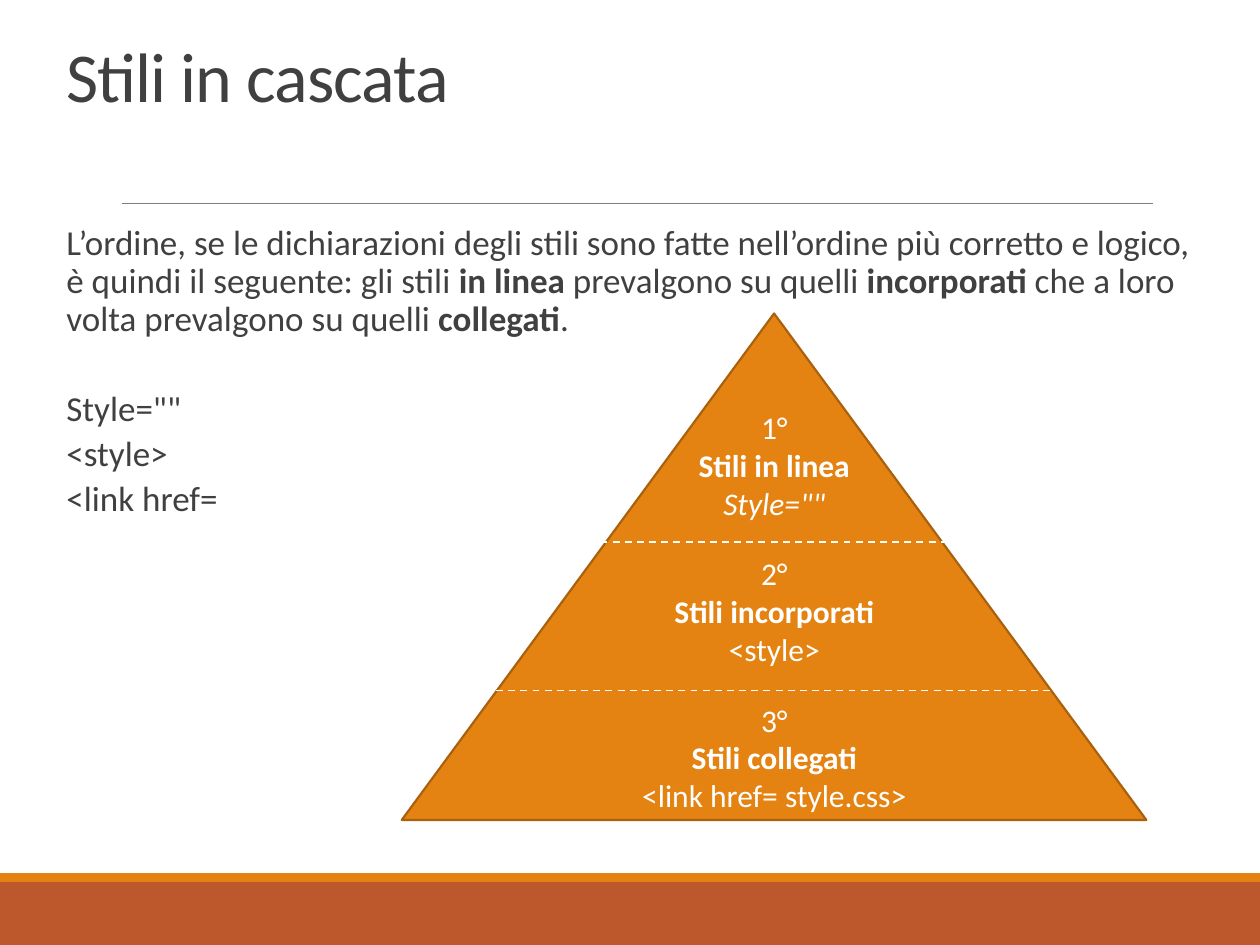
from dataclasses import dataclass

from lxml import etree
from pptx import Presentation
from pptx.dml.color import RGBColor
from pptx.enum.dml import MSO_LINE
from pptx.enum.shapes import MSO_CONNECTOR, MSO_SHAPE
from pptx.enum.text import MSO_ANCHOR, PP_ALIGN
from pptx.oxml.ns import qn
from pptx.shapes.autoshape import Shape
from pptx.slide import Slide
from pptx.text.text import TextFrame
from pptx.util import Cm, Pt

DASH = MSO_LINE.DASH
STRAIGHT = MSO_CONNECTOR.STRAIGHT
RECT = MSO_SHAPE.RECTANGLE
PEAK = MSO_SHAPE.ISOSCELES_TRIANGLE
TOP = MSO_ANCHOR.TOP
CENTER = PP_ALIGN.CENTER


@dataclass(frozen=True)
class Theme:
    font: str = "Calibri"
    ink: str = "404040"
    white: str = "FFFFFF"
    gray: str = "808080"
    amber: str = "E48312"
    rust: str = "BD582C"
    edge: str = "A9610D"
    title: int = 40
    body: int = 20
    label: int = 18


@dataclass(frozen=True)
class Box:
    left: float
    top: float
    width: float
    height: float


@dataclass(frozen=True)
class Tier:
    rank: str
    name: str
    code: str
    width: float
    slant: bool = False


@dataclass(frozen=True)
class Rule:
    mid: float
    top: float
    half: float
    color: str
    weight: float
    dashed: bool = False


THEME = Theme()
WIDTH, HEIGHT = 25.4, 19.05
AXIS = 15.61

BANDS = [
    (Box(0, 17.78, WIDTH, 1.27), THEME.rust),
    (Box(0, 17.6, WIDTH, 0.18), THEME.amber),
]
TITLE = Box(1.09, 0.79, 23.01, 3.33)
BODY = Box(1.09, 4.42, 23.01, 12.52)
CONE = Box(8.1, 6.32, 15.01, 10.21)

LEAD = [
    ("L’ordine, se le dichiarazioni degli stili sono fatte nell’ordine "
     "più corretto e logico, è quindi il seguente: gli stili ", False),
    ("in linea", True),
    (" prevalgono su quelli ", False),
    ("incorporati", True),
    (" che a loro volta prevalgono su quelli ", False),
    ("collegati", True),
    (".", False),
]
CODES = ['Style=""', "<style>", "<link href="]

TIERS = [
    Tier("1°", "Stili in linea", 'Style=""', 4.8, True),
    Tier("2°", "Stili incorporati", "<style>", 8.61),
    Tier("3°", "Stili collegati", "<link href= style.css>", 8.61),
]
TIER_TOP, TIER_STEP, TIER_TALL = 8.1, 2.95, 2.57

HEAD_RULE = Rule(12.85, 4.11, 10.39, THEME.gray, 0.5)
CUTS = [
    Rule(AXIS, 10.92, 3.75, THEME.white, 1, True),
    Rule(AXIS, 13.92, 6.1, THEME.white, 1, True),
]


def rgb(code: str) -> RGBColor:
    return RGBColor.from_string(code)


def place(box: Box) -> tuple[Cm, Cm, Cm, Cm]:
    return Cm(box.left), Cm(box.top), Cm(box.width), Cm(box.height)


def draw_shape(slide: Slide, kind: MSO_SHAPE, box: Box, fill: str) -> Shape:
    shape = slide.shapes.add_shape(kind, *place(box))
    shape.shadow.inherit = False
    shape.fill.solid()
    shape.fill.fore_color.rgb = rgb(fill)
    shape.line.fill.background()
    return shape


def draw_rule(slide: Slide, rule: Rule) -> None:
    line = slide.shapes.add_connector(
        STRAIGHT, Cm(rule.mid - rule.half), Cm(rule.top),
        Cm(rule.mid + rule.half), Cm(rule.top))
    line.line.color.rgb = rgb(rule.color)
    line.line.width = Pt(rule.weight)
    if rule.dashed:
        line.line.dash_style = DASH
    etree.SubElement(line._element.spPr, qn("a:effectLst"))


def add_frame(slide: Slide, box: Box) -> TextFrame:
    frame = slide.shapes.add_textbox(*place(box)).text_frame
    frame.word_wrap = True
    frame.vertical_anchor = TOP
    return frame


def add_line(frame: TextFrame, runs: list[tuple[str, bool]], size: int,
             color: str):
    first = frame.paragraphs[0]
    para = frame.add_paragraph() if first.runs else first
    para.font.name = THEME.font
    para.font.size = Pt(size)
    para.font.color.rgb = rgb(color)
    for text, bold in runs:
        run = para.add_run()
        run.text = text
        if bold:
            run.font.bold = True
    return para


def draw_title(slide: Slide) -> None:
    frame = add_frame(slide, TITLE)
    para = add_line(frame, [("Stili in cascata", False)], THEME.title,
                    THEME.ink)
    para.line_spacing = 0.85
    para.runs[0]._r.get_or_add_rPr().set("spc", "-50")


def draw_body(slide: Slide) -> None:
    frame = add_frame(slide, BODY)
    frame.margin_right = 0
    lines = [LEAD] + [[(code, False)] for code in CODES]
    for runs, gap in zip(lines, (0, 28, 2, 2)):
        para = add_line(frame, runs, THEME.body, THEME.ink)
        para.line_spacing = 0.9
        para.space_before = Pt(gap)
        para.space_after = Pt(2)


def draw_tier(slide: Slide, tier: Tier, top: float) -> None:
    box = Box(AXIS - tier.width / 2, top, tier.width, TIER_TALL)
    frame = add_frame(slide, box)
    for text, bold in ((tier.rank, False), (tier.name, True),
                       (tier.code, False)):
        para = add_line(frame, [(text, bold)], THEME.label, THEME.white)
        para.alignment = CENTER
    if tier.slant:
        para.runs[0].font.italic = True


def main() -> None:
    deck = Presentation()
    deck.slide_width, deck.slide_height = Cm(WIDTH), Cm(HEIGHT)
    slide = deck.slides.add_slide(deck.slide_layouts[6])
    for box, fill in BANDS:
        draw_shape(slide, RECT, box, fill)
    draw_rule(slide, HEAD_RULE)
    draw_title(slide)
    draw_body(slide)
    cone = draw_shape(slide, PEAK, CONE, THEME.amber)
    cone.line.color.rgb = rgb(THEME.edge)
    cone.line.width = Pt(1.25)
    for row, tier in enumerate(TIERS):
        draw_tier(slide, tier, TIER_TOP + row * TIER_STEP)
    for cut in CUTS:
        draw_rule(slide, cut)
    deck.save("out.pptx")


if __name__ == "__main__":
    main()
